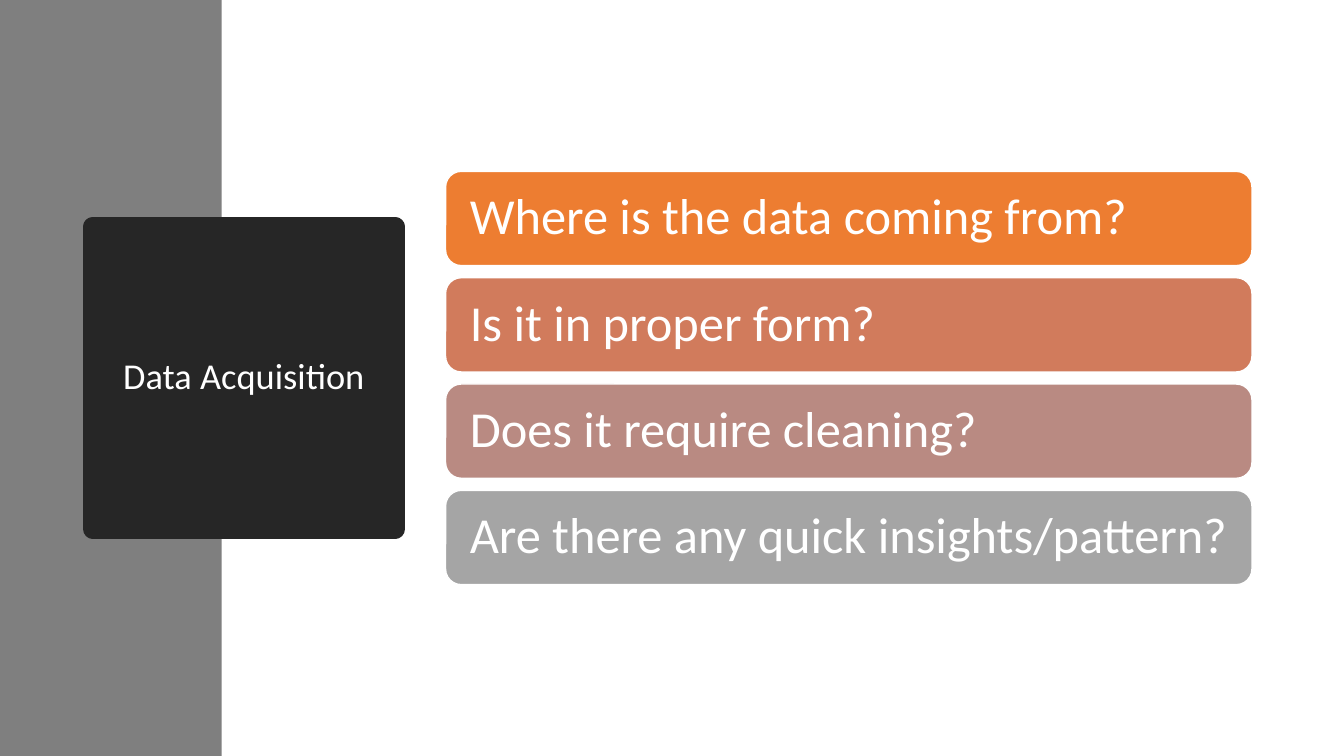
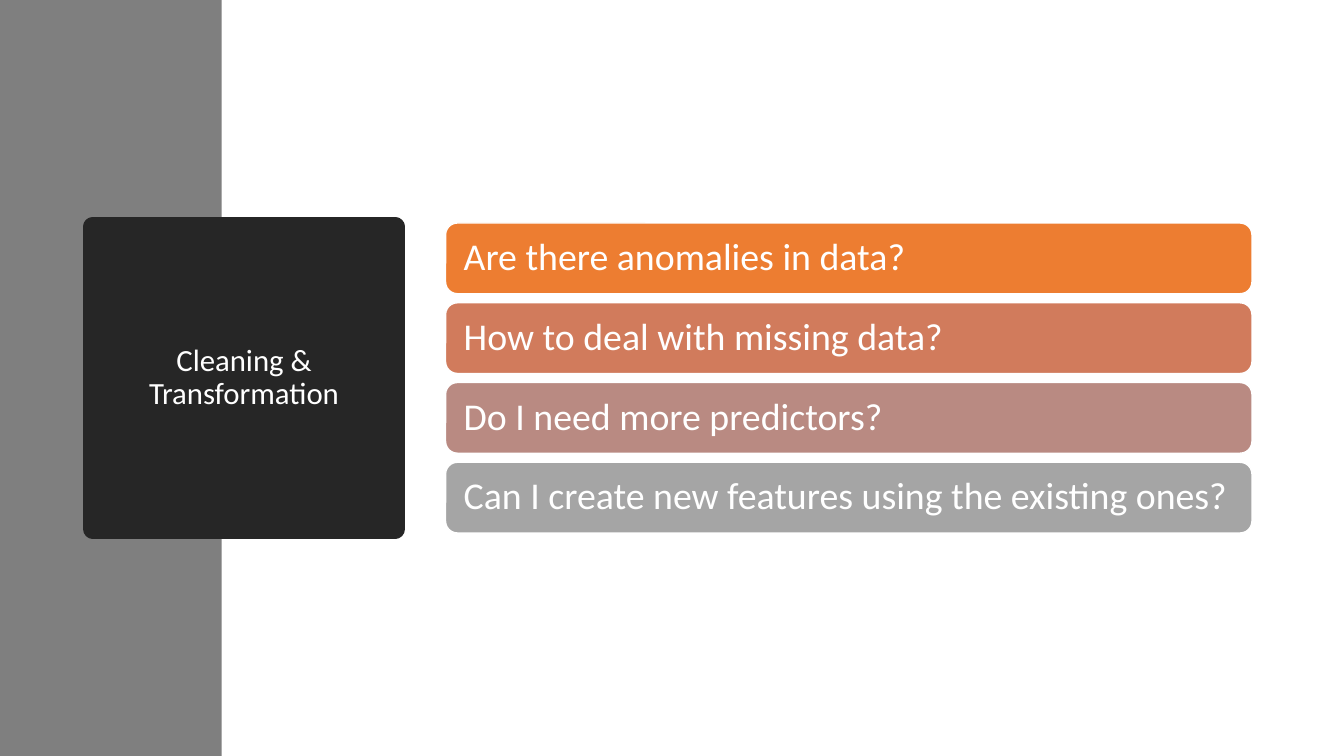
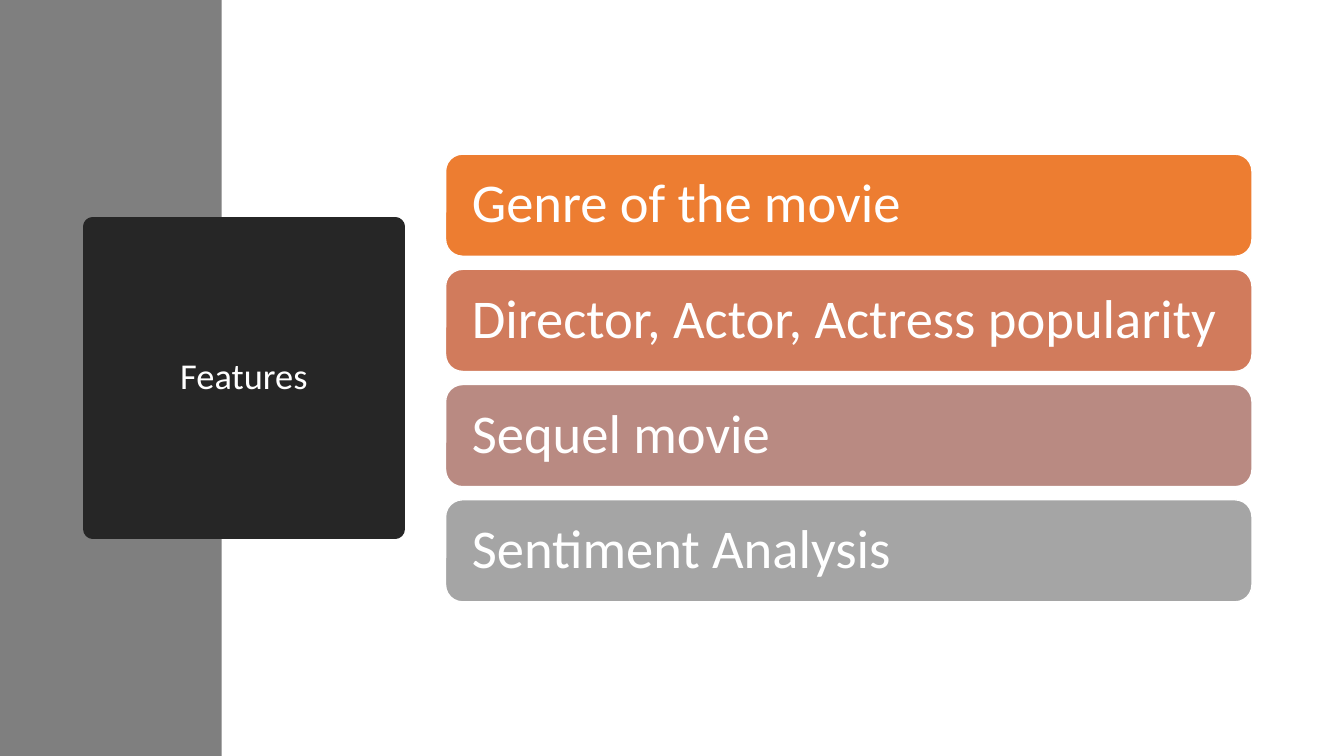
from lxml import etree
from pptx import Presentation
from pptx.dml.color import RGBColor
from pptx.enum import shapes, text
from pptx.oxml import ns
from pptx.util import Pt

# Shared look
FONT = "Calibri"
WHITE = RGBColor(0xFF, 0xFF, 0xFF)
GREY = RGBColor(0x7F, 0x7F, 0x7F)
DARK = RGBColor(0x26, 0x26, 0x26)
ROWS = [
    RGBColor(0xED, 0x7D, 0x31),
    RGBColor(0xD1, 0x7B, 0x5C),
    RGBColor(0xB9, 0x8A, 0x82),
    RGBColor(0xA5, 0xA5, 0xA5),
]
WIDE, HIGH = 960, 540
RECT = shapes.MSO_SHAPE.RECTANGLE
ROUND = shapes.MSO_SHAPE.ROUNDED_RECTANGLE

# Title, title size, row size, row texts
DECK = [
    ("Data Acquisition", 26, 36, [
        "Where is the data coming from?",
        "Is it in proper form?",
        "Does it require cleaning?",
        "Are there any quick insights/pattern?",
    ]),
    ("Cleaning & Transformation", 22, 27, [
        "Are there anomalies in data?",
        "How to deal with missing data?",
        "Do I need more predictors?",
        "Can I create new features using the existing ones?",
    ]),
    ("Features", 26, 39, [
        "Genre of the movie",
        "Director, Actor, Actress popularity",
        "Sequel movie",
        "Sentiment Analysis",
    ]),
]


def add_box(slide, kind, left, top, width, height, fill, line=None, weight=1):
    box = slide.shapes.add_shape(kind, Pt(left), Pt(top), Pt(width), Pt(height))
    box.shadow.inherit = False
    box.fill.solid()
    box.fill.fore_color.rgb = fill
    if line is None:
        box.line.fill.background()
    else:
        box.line.color.rgb = line
        box.line.width = Pt(weight)
    return box


def set_text(box, words, size, align):
    frame = box.text_frame
    frame.word_wrap = True
    frame.vertical_anchor = text.MSO_ANCHOR.MIDDLE
    para = frame.paragraphs[0]
    para.text = words
    para.alignment = align
    para.line_spacing = 0.9
    para.font.name = FONT
    para.font.size = Pt(size)
    para.font.color.rgb = WHITE
    return frame


def add_title(slide, words, size):
    # Side band, then a square whose thick outline has round corners
    add_box(slide, RECT, 0, 0, 158.4, HIGH, GREY)
    side = 216
    box = add_box(slide, RECT, 66.3, (HIGH - side) / 2, side, side, DARK, DARK, 13.75)
    etree.SubElement(box.line._get_or_add_ln(), ns.qn("a:round"))
    set_text(box, words, size, text.PP_ALIGN.CENTER)


def add_rows(slide, items, size):
    # Row height, gap and inset all follow the text size
    height, gap, inset = 1.87 * size, 0.24 * size, 0.39 * size
    pitch = height + gap
    top = (HIGH - len(items) * pitch + gap) / 2
    for i, (words, fill) in enumerate(zip(items, ROWS)):
        row = add_box(slide, ROUND, 318.3, top + i * pitch, 576, height, fill, WHITE)
        frame = set_text(row, words, size, text.PP_ALIGN.LEFT)
        frame.margin_left = frame.margin_right = Pt(inset)
        frame.margin_top = frame.margin_bottom = 0


def main():
    deck = Presentation()
    deck.slide_width, deck.slide_height = Pt(WIDE), Pt(HIGH)
    for title, title_size, row_size, items in DECK:
        slide = deck.slides.add_slide(deck.slide_layouts[6])
        add_title(slide, title, title_size)
        add_rows(slide, items, row_size)
    deck.save("out.pptx")


if __name__ == "__main__":
    main()
